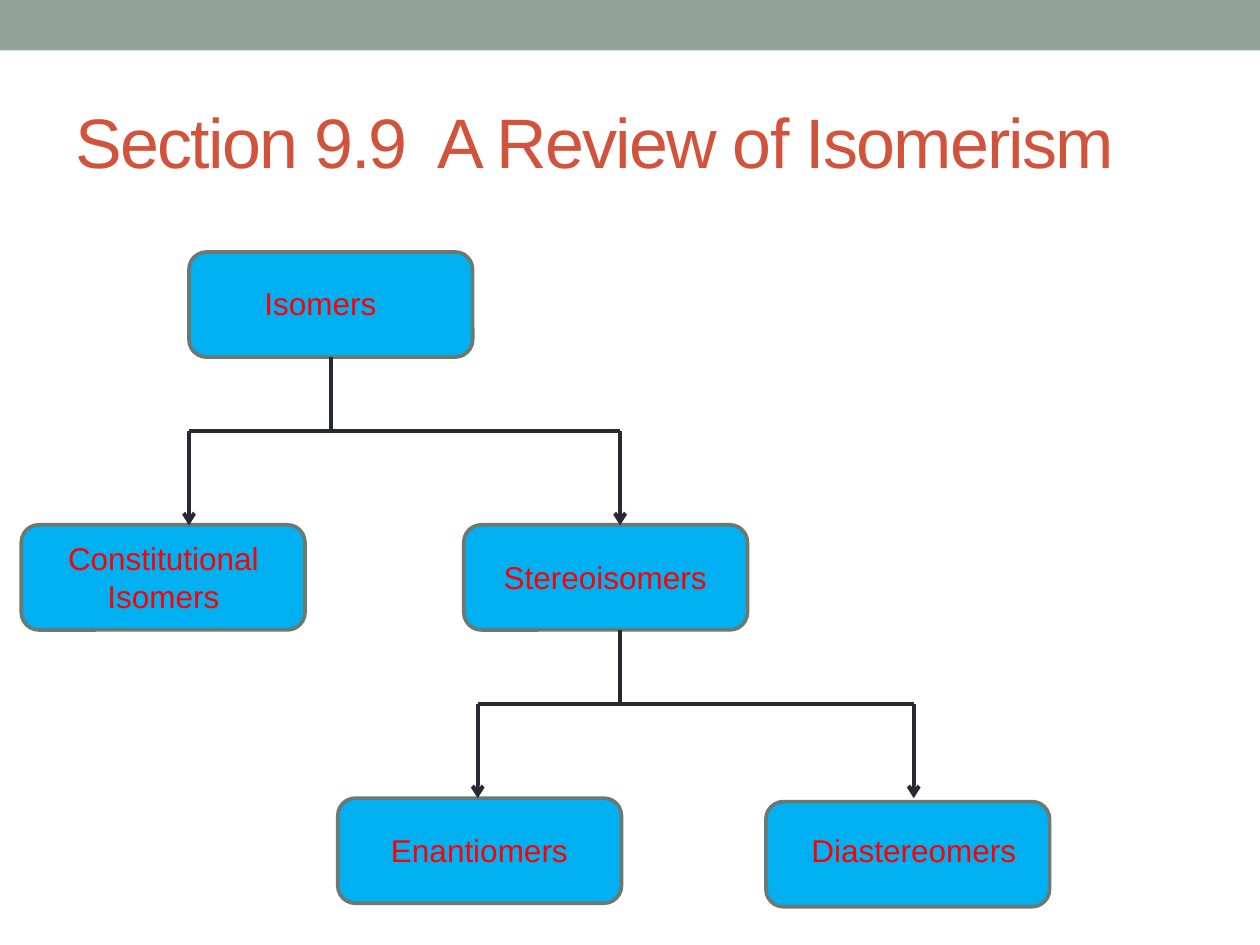
from dataclasses import dataclass

from lxml.etree import SubElement as Sub
from pptx import Presentation
from pptx.dml.color import RGBColor as Rgb
from pptx.enum.shapes import MSO_CONNECTOR as Link, MSO_SHAPE as Kind
from pptx.enum.text import MSO_ANCHOR as Anchor, PP_ALIGN as Align
from pptx.oxml.ns import qn
from pptx.util import Cm, Pt


@dataclass(frozen=True)
class Theme:
    """Colours, font and sizes of the slide."""
    font: str = "Arial"
    band: str = "93A299"
    title: str = "D2533C"
    fill: str = "00B0F0"
    edge: str = "6D7871"
    label: str = "FF0000"
    line: str = "292934"
    big: float = 40
    small: float = 18
    border: float = 2.08
    stroke: float = 2.25


THEME = Theme()
WIDE, HIGH = 25.4, 19.05
NODE_W, NODE_H = 5.72, 2.12
STEM = 1.49

# label, node corner, text corner, text size, alignment
NODES = [
    ("Isomers", (3.81, 5.08), (5.08, 5.61), (2.97, 1.07), Align.LEFT),
    ("Constitutional Isomers", (0.43, 10.58), (1.07, 10.74), (4.45, 1.8),
     Align.CENTER),
    ("Stereoisomers", (9.35, 10.58), (9.75, 11.13), (4.9, 1.02),
     Align.CENTER),
    ("Enantiomers", (6.81, 16.09), (7.44, 16.63), (4.45, 1.02),
     Align.CENTER),
    ("Diastereomers", (15.44, 16.16), (15.98, 16.63), (4.88, 1.02),
     Align.CENTER),
]

# stem x, stem top, arm x positions, arrow tip y
FORKS = [
    (6.67, 7.2, (3.81, 12.5), 10.59),
    (12.5, 12.7, (9.63, 18.42), 16.09),
]


def add_text(shapes, text, at, size, *, pt, color, align=Align.LEFT,
             anchor=Anchor.TOP, space=0):
    """Add a wrapped text box; space is the letter spacing in points."""
    box = shapes.add_textbox(*map(Cm, at + size))
    frame = box.text_frame
    frame.word_wrap = True
    frame.vertical_anchor = anchor
    para = frame.paragraphs[0]
    para.alignment = align
    run = para.add_run()
    run.text = text
    run.font.name = THEME.font
    run.font.size = Pt(pt)
    run.font.color.rgb = Rgb.from_string(color)
    if space:
        run.font._element.set("spc", str(int(space * 100)))


def add_box(shapes, kind, at, size, fill, edge=None):
    """Add a filled shape, with a border when edge is given."""
    box = shapes.add_shape(kind, *map(Cm, at + size))
    box.shadow.inherit = False
    box.fill.solid()
    box.fill.fore_color.rgb = Rgb.from_string(fill)
    if edge:
        box.line.color.rgb = Rgb.from_string(edge)
        box.line.width = Pt(THEME.border)
    else:
        box.line.fill.background()


def add_node(shapes, text, at, text_at, size, align):
    """Add a rounded box grouped with its label."""
    group = shapes.add_group_shape().shapes
    add_box(group, Kind.ROUNDED_RECTANGLE, at, (NODE_W, NODE_H),
            THEME.fill, THEME.edge)
    add_text(group, text, text_at, size, pt=THEME.small,
             color=THEME.label, align=align)


def add_line(shapes, start, end, arrow=False):
    """Add a straight line, with an arrowhead at its end if asked."""
    line = shapes.add_connector(Link.STRAIGHT, *map(Cm, start + end))
    line.line.color.rgb = Rgb.from_string(THEME.line)
    line.line.width = Pt(THEME.stroke)
    if arrow:
        Sub(line.line._get_or_add_ln(), qn("a:tailEnd"), type="arrow")
    Sub(line._element.spPr, qn("a:effectLst"))


def add_fork(shapes, x, top, arms, tip):
    """Add a stem, a crossbar and an arrow down each arm."""
    bar = top + STEM
    add_line(shapes, (x, top), (x, bar))
    add_line(shapes, (arms[0], bar), (arms[-1], bar))
    for arm in arms:
        add_line(shapes, (arm, bar), (arm, tip), arrow=True)


def main():
    """Build the slide and save it."""
    deck = Presentation()
    deck.slide_width, deck.slide_height = Cm(WIDE), Cm(HIGH)
    shapes = deck.slides.add_slide(deck.slide_layouts[6]).shapes
    add_box(shapes, Kind.RECTANGLE, (0, 0), (WIDE, 1.02), THEME.band)
    add_text(shapes, "Section 9.9  A Review of Isomerism", (1.27, 1.47),
             (22.86, 2.74), pt=THEME.big, color=THEME.title,
             anchor=Anchor.MIDDLE, space=-1)
    for node in NODES:
        add_node(shapes, *node)
    for fork in FORKS:
        add_fork(shapes, *fork)
    deck.save("out.pptx")


main()
